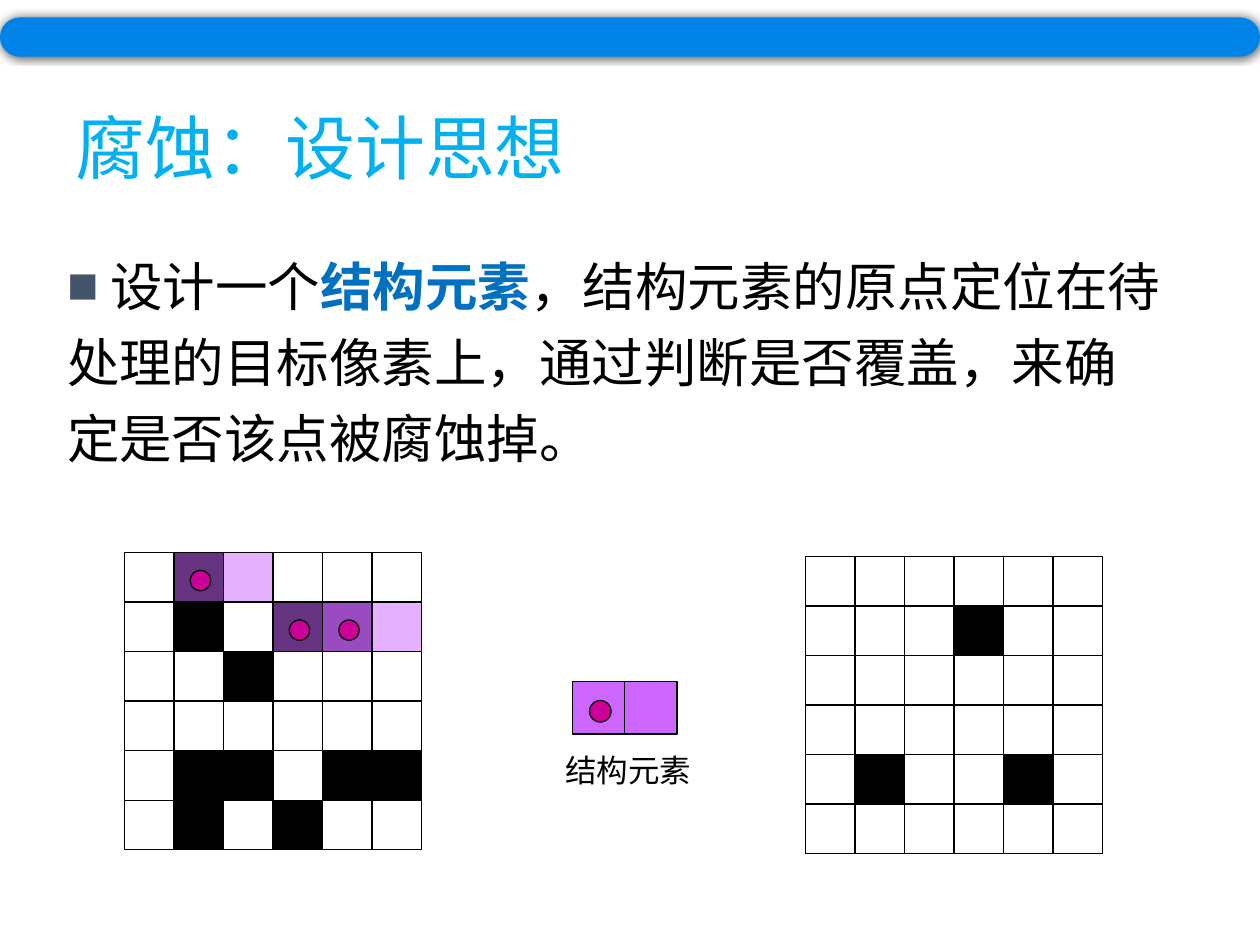
"""Build the slide that explains the design idea of erosion."""
import pptx
import pptx.dml.color
import pptx.enum.shapes
import pptx.enum.text
import pptx.oxml
import pptx.oxml.ns
import pptx.util
import lxml.etree

Pt = pptx.util.Pt
SHAPES = pptx.enum.shapes.MSO_SHAPE
ANCHORS = pptx.enum.text.MSO_ANCHOR
qn = pptx.oxml.ns.qn
COLOURS = {
    "title": "00B0F0", "emphasis": "0070C0", "bullet": "44546A", "bar": "0083E6",
    "black": "000000", "white": "FFFFFF", "element": "CC66FF", "origin": "CC0099",
}
CJK_FONT = "Noto Sans CJK SC"
PITCH = 28.3


def draw_shape(parent, kind, left, top, width, height, colour, outlined=True, alpha=None):
    shape = parent.shapes.add_shape(kind, Pt(left), Pt(top), Pt(width), Pt(height))
    shape.shadow.inherit = False
    shape.fill.solid()
    shape.fill.fore_color.rgb = pptx.dml.color.RGBColor.from_string(COLOURS[colour])
    if outlined:
        shape.line.width = Pt(0.75)
        shape.line.color.rgb = pptx.dml.color.RGBColor.from_string(COLOURS["black"])
    else:
        shape.line.fill.background()
    if alpha:
        tint = shape.fill._xPr.find(qn("a:solidFill"))[0]
        lxml.etree.SubElement(tint, qn("a:alpha"), val=str(alpha * 1000))
    return shape


def draw_text(left, top, width, height, runs, font_format, frame_format, paragraph_format):
    frame = slide.shapes.add_textbox(Pt(left), Pt(top), Pt(width), Pt(height)).text_frame
    for attribute, value in frame_format.items():
        setattr(frame, attribute, value)
    paragraph = frame.paragraphs[0]
    for attribute, value in paragraph_format.items():
        setattr(paragraph, attribute, value)
    for words, colour, bold in runs:
        run = paragraph.add_run()
        run.text = words
        for attribute, value in {**font_format, "bold": bold}.items():
            setattr(run.font, attribute, value)
        run.font.color.rgb = pptx.dml.color.RGBColor.from_string(COLOURS[colour])
        lxml.etree.SubElement(run._r.get_or_add_rPr(), qn("a:ea"), typeface=CJK_FONT)
    return paragraph


deck = pptx.Presentation()
deck.slide_width, deck.slide_height = Pt(720), Pt(540)
slide = deck.slides.add_slide(deck.slide_layouts[6])

draw_text(
    36, 41.8, 552, 90, [("腐蚀：设计思想", "title", False)],
    {"name": CJK_FONT, "size": Pt(40)},
    {"word_wrap": True, "vertical_anchor": ANCHORS.MIDDLE}, {"line_spacing": 0.9},
)
idea = draw_text(
    31.2, 134.6, 641.5, 131,
    [
        (" ", "emphasis", False),
        ("设计一个", "black", False),
        ("结构元素", "emphasis", True),
        ("，结构元素的原点定位在待处理的目标像素上，通过判断是否覆盖，来确定是否该点被腐蚀掉。", "black", False),
    ],
    {"name": CJK_FONT, "size": Pt(30)}, {"word_wrap": True},
    {"line_spacing": 1.2, "space_before": Pt(10)},
)
idea_properties = idea._p.get_or_add_pPr()
idea_properties.set("marL", "0")
idea_properties.set("indent", "0")
bullet_colour = lxml.etree.SubElement(idea_properties, qn("a:buClr"))
lxml.etree.SubElement(bullet_colour, qn("a:srgbClr"), val=COLOURS["bullet"])
lxml.etree.SubElement(idea_properties, qn("a:buSzPct"), val="60000")
lxml.etree.SubElement(idea_properties, qn("a:buFont"), typeface=CJK_FONT)
lxml.etree.SubElement(idea_properties, qn("a:buChar"), char="■")

before_erosion = [".#....", ".#.##.", "..#...", "......", ".##.##", ".#.#.."]
after_erosion = ["......", "...#..", "......", "......", ".#..#.", "......"]
for grid_left, grid_top, pixels in [(71.1, 315.8, before_erosion), (460.3, 318, after_erosion)]:
    grid = slide.shapes.add_group_shape()
    for row, line in enumerate(pixels):
        for column, pixel in enumerate(line):
            draw_shape(
                grid, SHAPES.RECTANGLE, grid_left + column * PITCH, grid_top + row * PITCH,
                PITCH, PITCH, "black" if pixel == "#" else "white",
            )

placements = [(327, 389.5, 30, None)]
for row, column in [(0, 1), (1, 3), (1, 4)]:
    placements.append((71.1 + column * PITCH, 315.8 + row * PITCH, PITCH, 50))
for left, top, side, alpha in placements:
    element = slide.shapes.add_group_shape()
    for step in range(2):
        draw_shape(element, SHAPES.RECTANGLE, left + step * side, top, side, side, "element", alpha=alpha)
    draw_shape(
        element, SHAPES.OVAL, left + 0.33 * side, top + 0.36 * side,
        0.41 * side, 0.41 * side, "origin",
    )

draw_text(
    316, 425.5, 102, 29, [("结构元素", "black", False)],
    {"name": "Times New Roman", "size": Pt(18)}, {"word_wrap": True}, {},
)

bar = draw_shape(slide, SHAPES.ROUNDED_RECTANGLE, 0, 10, 720, 22.4, "bar", outlined=False)
bar.adjustments[0] = 0.5
effects = bar._element.spPr.find(qn("a:effectLst"))
glow = lxml.etree.SubElement(effects, qn("a:outerShdw"), blurRad=str(Pt(5)), dist="0", dir="0")
glow_colour = lxml.etree.SubElement(glow, qn("a:srgbClr"), val=COLOURS["black"])
lxml.etree.SubElement(glow_colour, qn("a:alpha"), val="60000")

deck.save("out.pptx")
